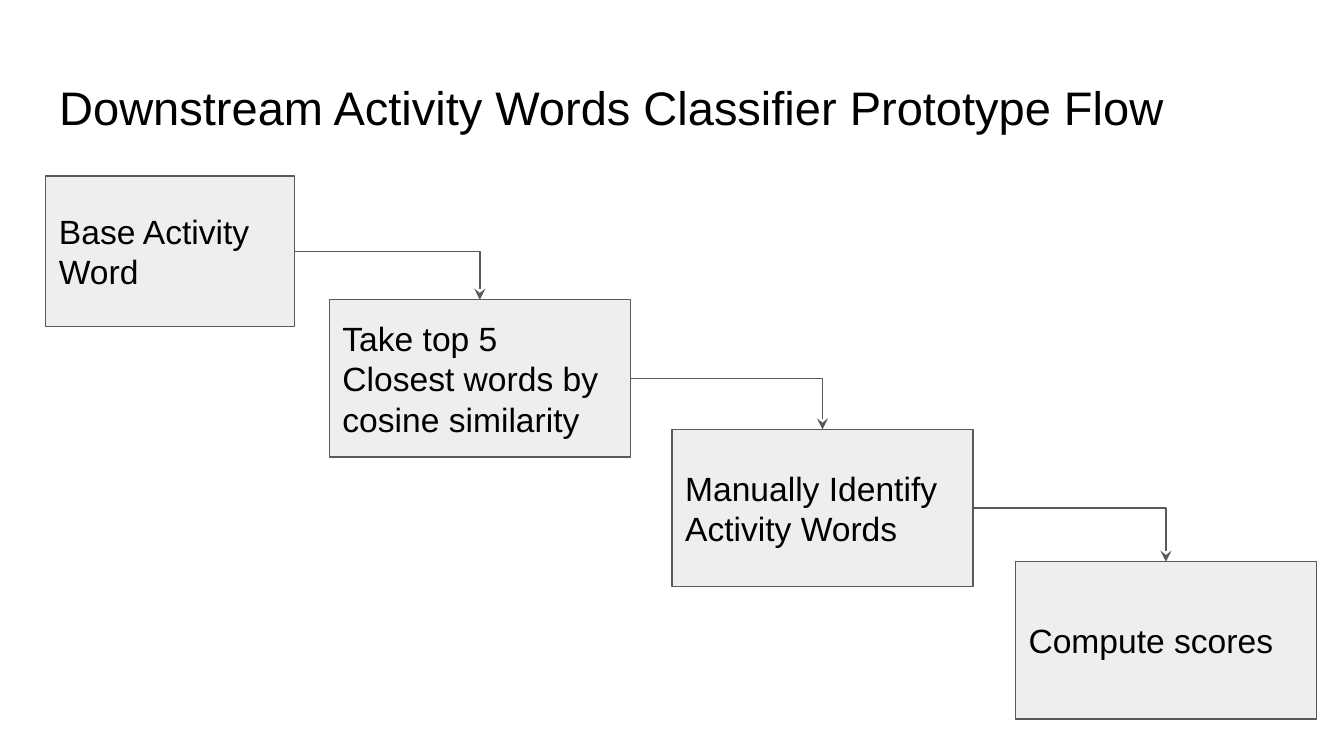
import pptx
import pptx.dml.color
import pptx.enum.shapes
import pptx.enum.text
import pptx.oxml
import pptx.oxml.ns
import pptx.util

TITLE = "Downstream Activity Words Classifier Prototype Flow"
TITLE_BOX = (68, 97, 1864, 126)
# Step text, then left, top, width, height in px
STEPS = [
    ("Base Activity Word", (68, 262, 370, 224)),
    ("Take top 5 Closest words by cosine similarity", (490, 446, 448, 234)),
    ("Manually Identify Activity Words", (1000, 639, 448, 234)),
    ("Compute scores", (1511, 836, 448, 234)),
]
THEME = {
    "font": "Arial", "title_size": 25.2, "step_size": 18, "line_width": 0.75,
    "text": "000000", "fill": "EEEEEE", "line": "595959",
}
SLIDE_SIZE = (2000, 1125)
INSET = 20
RIGHT_SIDE, TOP_SIDE = 3, 0


def px(value):
    """Convert px, at 200 to the inch, to EMU."""
    return pptx.util.Emu(value * 4572)


def color(name):
    return pptx.dml.color.RGBColor.from_string(THEME[name])


def place(shape, box):
    for name, value in zip(("left", "top", "width", "height"), box):
        setattr(shape, name, px(value))


def write(shape, text, size, anchor):
    frame = shape.text_frame
    frame.text = text
    settings = {"word_wrap": True, "vertical_anchor": anchor,
                "auto_size": pptx.enum.text.MSO_AUTO_SIZE.NONE}
    settings.update({f"margin_{side}": px(INSET)
                     for side in ("left", "top", "right", "bottom")})
    for name, value in settings.items():
        setattr(frame, name, value)
    paragraph = frame.paragraphs[0]
    paragraph.alignment = pptx.enum.text.PP_ALIGN.LEFT
    font = paragraph.runs[0].font
    font.name = THEME["font"]
    font.size = pptx.util.Pt(size)
    font.color.rgb = color("text")


def outline(shape):
    shape.line.color.rgb = color("line")
    shape.line.width = pptx.util.Pt(THEME["line_width"])


def add_step(slide, text, box):
    shape = slide.shapes.add_shape(
        pptx.enum.shapes.MSO_SHAPE.RECTANGLE, *map(px, box))
    shape.shadow.inherit = False
    shape.fill.solid()
    shape.fill.fore_color.rgb = color("fill")
    outline(shape)
    write(shape, text, THEME["step_size"], pptx.enum.text.MSO_ANCHOR.MIDDLE)
    return shape


def add_arrow(slide, source, target):
    """Join two steps by a single-bend arrow, right side to top."""
    connector = slide.shapes.add_connector(
        pptx.enum.shapes.MSO_CONNECTOR.ELBOW, 0, 0, 0, 0)
    connector.begin_connect(source, RIGHT_SIDE)
    connector.end_connect(target, TOP_SIDE)
    outline(connector)
    properties = connector._element.spPr
    properties.find(pptx.oxml.ns.qn("a:prstGeom")).set("prst", "bentConnector2")
    namespace = pptx.oxml.ns.nsdecls("a")
    connector.line._get_or_add_ln().append(
        pptx.oxml.parse_xml(f'<a:tailEnd {namespace} type="stealth"/>'))
    properties.append(pptx.oxml.parse_xml(f"<a:effectLst {namespace}/>"))


def main():
    presentation = pptx.Presentation()
    presentation.slide_width, presentation.slide_height = map(px, SLIDE_SIZE)
    slide = presentation.slides.add_slide(presentation.slide_layouts[5])
    title = slide.shapes.title
    place(title, TITLE_BOX)
    write(title, TITLE, THEME["title_size"], pptx.enum.text.MSO_ANCHOR.TOP)
    steps = [add_step(slide, text, box) for text, box in STEPS]
    for source, target in zip(steps, steps[1:]):
        add_arrow(slide, source, target)
    presentation.save("out.pptx")


if __name__ == "__main__":
    main()
